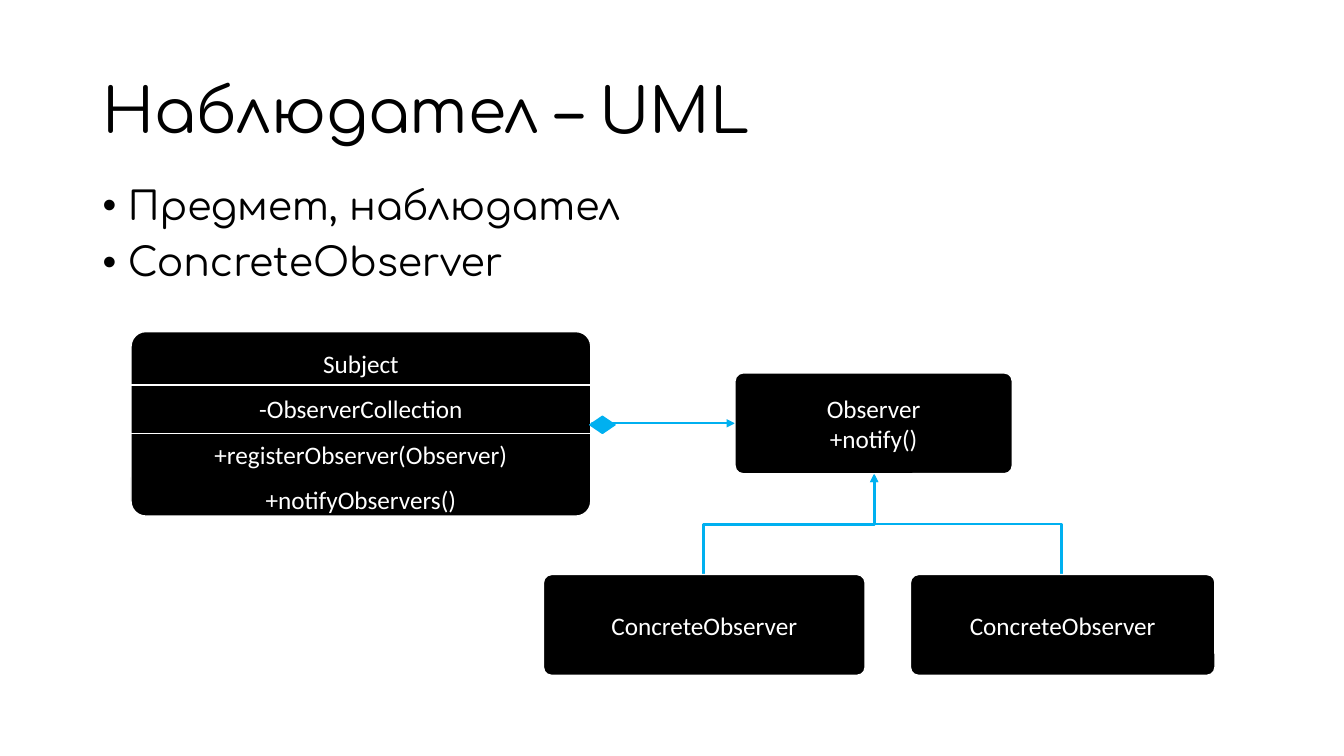
"""Build the observer pattern UML slide."""
from dataclasses import dataclass
from typing import Any

from lxml.etree import SubElement
from pptx import Presentation
from pptx.dml.color import RGBColor
from pptx.enum.shapes import MSO_CONNECTOR as Connector, MSO_SHAPE as Shape
from pptx.enum.text import MSO_ANCHOR as Anchor, PP_ALIGN as Align
from pptx.oxml.ns import qn
from pptx.util import Emu, Pt

EMU_PER_PX = 9144
BLACK = RGBColor(0x00, 0x00, 0x00)
WHITE = RGBColor(0xFF, 0xFF, 0xFF)
BLUE = RGBColor(0x00, 0xB0, 0xF0)
QUARTER_TURN_BACK = "16200000"

BODY_FORMAT = {"line_spacing": 0.9, "alignment": Align.LEFT}
TITLE_FONT = {"name": "Comfortaa", "size": Pt(44)}
BODY_FONT = {"name": "Comfortaa", "size": Pt(28)}
BOX_FONT = {"name": "Calibri", "size": Pt(18)}


@dataclass(frozen=True)
class Area:
    """Hold a rectangle in px."""
    left: int
    top: int
    width: int
    height: int

    def emu(self) -> tuple[Emu, ...]:
        """Return the rectangle in EMU."""
        return tuple(px(v) for v in (self.left, self.top, self.width, self.height))


@dataclass(frozen=True)
class ClassBox:
    """Describe a UML class."""
    area: Area
    lines: tuple[str, ...]
    line_spacing: float = 1.0


@dataclass(frozen=True)
class Link:
    """Describe a connector between two points in px."""
    start: tuple[int, int]
    end: tuple[int, int]
    color: RGBColor
    weight: float
    arrow: bool = True
    bent: bool = False


TITLE_AREA = Area(92, 40, 1150, 145)
BODY_AREA = Area(92, 180, 1141, 127)
DIAMOND_AREA = Area(585, 413, 25, 17)
BULLETS = ("Предмет, наблюдател", "ConcreteObserver")
CLASSES = (
    ClassBox(Area(729, 370, 275, 100), ("Observer", "+notify()")),
    ClassBox(Area(539, 570, 319, 100), ("ConcreteObserver",)),
    ClassBox(Area(903, 570, 302, 100), ("ConcreteObserver",)),
    ClassBox(Area(130, 329, 456, 183),
             ("Subject", "-ObserverCollection",
              "+registerObserver(Observer)", "+notifyObservers()"), 1.5),
)
RELATIONS = (
    Link((698, 570), (867, 470), BLUE, 2, bent=True),
    Link((1053, 570), (867, 470), BLUE, 2, bent=True),
    Link((586, 420), (729, 420), BLUE, 1.5),
)
DIVIDERS = tuple(Link((129, y), (585, y), WHITE, 1, arrow=False) for y in (382, 430))


def px(value: float) -> Emu:
    """Turn px into EMU."""
    return Emu(round(value * EMU_PER_PX))


def apply_format(target: Any, values: dict[str, Any]) -> None:
    """Set each attribute named in the values."""
    for name, value in values.items():
        setattr(target, name, value)


def add_bullet(paragraph: Any) -> None:
    """Give a paragraph a hanging round bullet."""
    properties = paragraph._p.get_or_add_pPr()
    properties.set("marL", str(px(25)))
    properties.set("indent", str(px(-25)))
    SubElement(properties, qn("a:buFont"), typeface="Arial")
    SubElement(properties, qn("a:buChar"), char="•")


def write_lines(frame: Any, lines: tuple[str, ...], font: dict[str, Any],
                color: RGBColor, layout: dict[str, Any],
                bulleted: bool = False) -> None:
    """Write one paragraph per line."""
    frame.word_wrap = True
    for index, line in enumerate(lines):
        paragraph = frame.add_paragraph() if index else frame.paragraphs[0]
        if bulleted:
            add_bullet(paragraph)
            if index:
                paragraph.space_before = Pt(10)
        apply_format(paragraph, layout)
        run = paragraph.add_run()
        run.text = line
        apply_format(run.font, font)
        run.font.color.rgb = color


def add_text(slide: Any, area: Area, lines: tuple[str, ...], font: dict[str, Any],
             anchor: Anchor, bulleted: bool = False) -> None:
    """Add a text box."""
    frame = slide.shapes.add_textbox(*area.emu()).text_frame
    frame.vertical_anchor = anchor
    write_lines(frame, lines, font, BLACK, BODY_FORMAT, bulleted)


def add_figure(slide: Any, kind: Shape, area: Area, fill: RGBColor,
               outline: RGBColor) -> Any:
    """Add a filled, outlined shape without shadow."""
    shape = slide.shapes.add_shape(kind, *area.emu())
    shape.shadow.inherit = False
    shape.fill.solid()
    shape.fill.fore_color.rgb = fill
    shape.line.color.rgb = outline
    shape.line.width = Pt(1)
    return shape


def add_class(slide: Any, box: ClassBox) -> None:
    """Add a class box with its members."""
    shape = add_figure(slide, Shape.ROUNDED_RECTANGLE, box.area, BLACK, WHITE)
    shape.adjustments[0] = 0.08
    shape.text_frame.vertical_anchor = Anchor.MIDDLE
    layout = {"alignment": Align.CENTER, "line_spacing": box.line_spacing}
    write_lines(shape.text_frame, box.lines, BOX_FONT, WHITE, layout)


def add_link(slide: Any, link: Link) -> None:
    """Add a straight link, or a bent one that leaves vertically."""
    points = (link.start, link.end)
    if link.bent:
        center_x, center_y = (sum(pair) / 2 for pair in zip(*points))
        points = tuple((center_x + center_y - y, center_y + x - center_x)
                       for x, y in points)
    kind = Connector.ELBOW if link.bent else Connector.STRAIGHT
    connector = slide.shapes.add_connector(
        kind, *(px(value) for point in points for value in point))
    connector.line.color.rgb = link.color
    connector.line.width = Pt(link.weight)
    properties = connector._element.spPr
    if link.bent:
        properties.find(qn("a:xfrm")).set("rot", QUARTER_TURN_BACK)
    if link.arrow:
        SubElement(properties.find(qn("a:ln")), qn("a:tailEnd"), type="triangle")
    SubElement(properties, qn("a:effectLst"))


def main() -> None:
    """Draw the slide and save it."""
    presentation = Presentation()
    presentation.slide_width = px(1333)
    presentation.slide_height = px(750)
    slide = presentation.slides.add_slide(presentation.slide_layouts[6])
    add_text(slide, BODY_AREA, BULLETS, BODY_FONT, Anchor.TOP, bulleted=True)
    add_text(slide, TITLE_AREA, ("Наблюдател – UML",), TITLE_FONT, Anchor.MIDDLE)
    for relation in RELATIONS:
        add_link(slide, relation)
    for box in CLASSES:
        add_class(slide, box)
    add_figure(slide, Shape.FLOWCHART_DECISION, DIAMOND_AREA, BLUE, BLUE)
    for divider in DIVIDERS:
        add_link(slide, divider)
    presentation.save("out.pptx")


if __name__ == "__main__":
    main()
